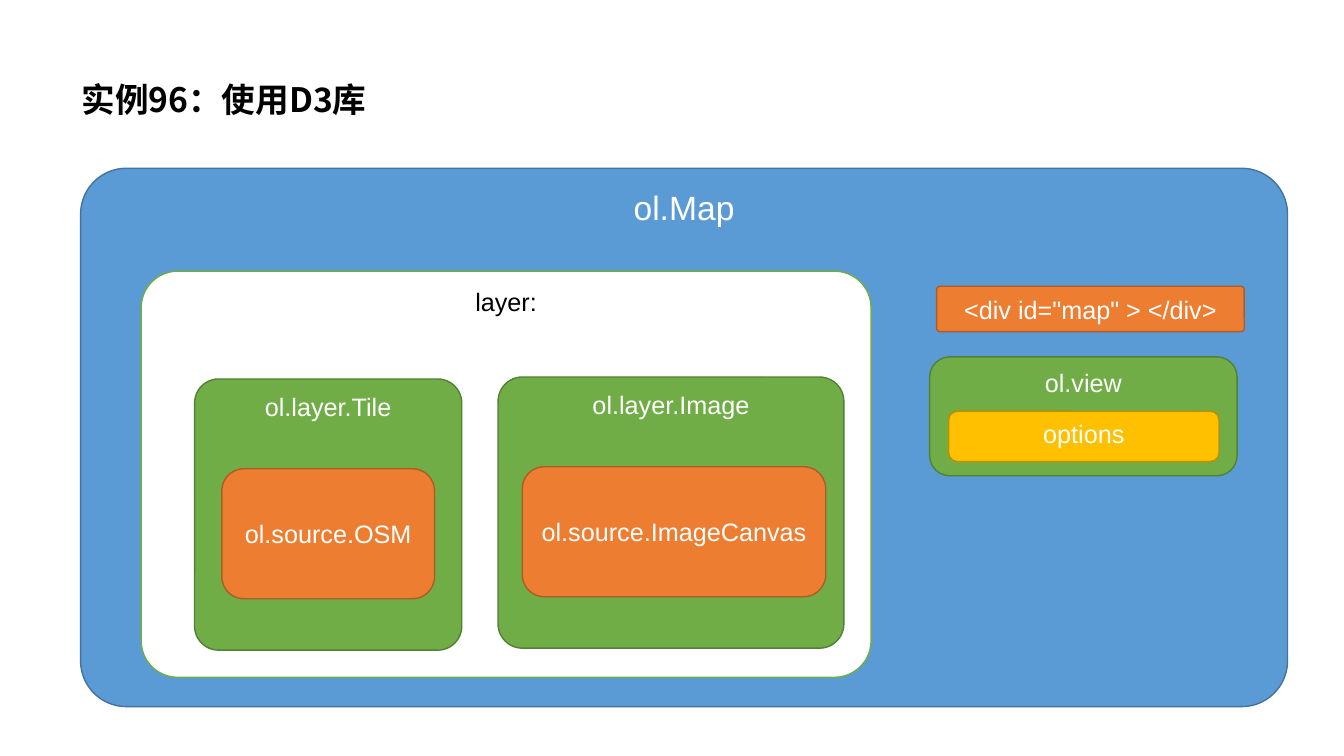
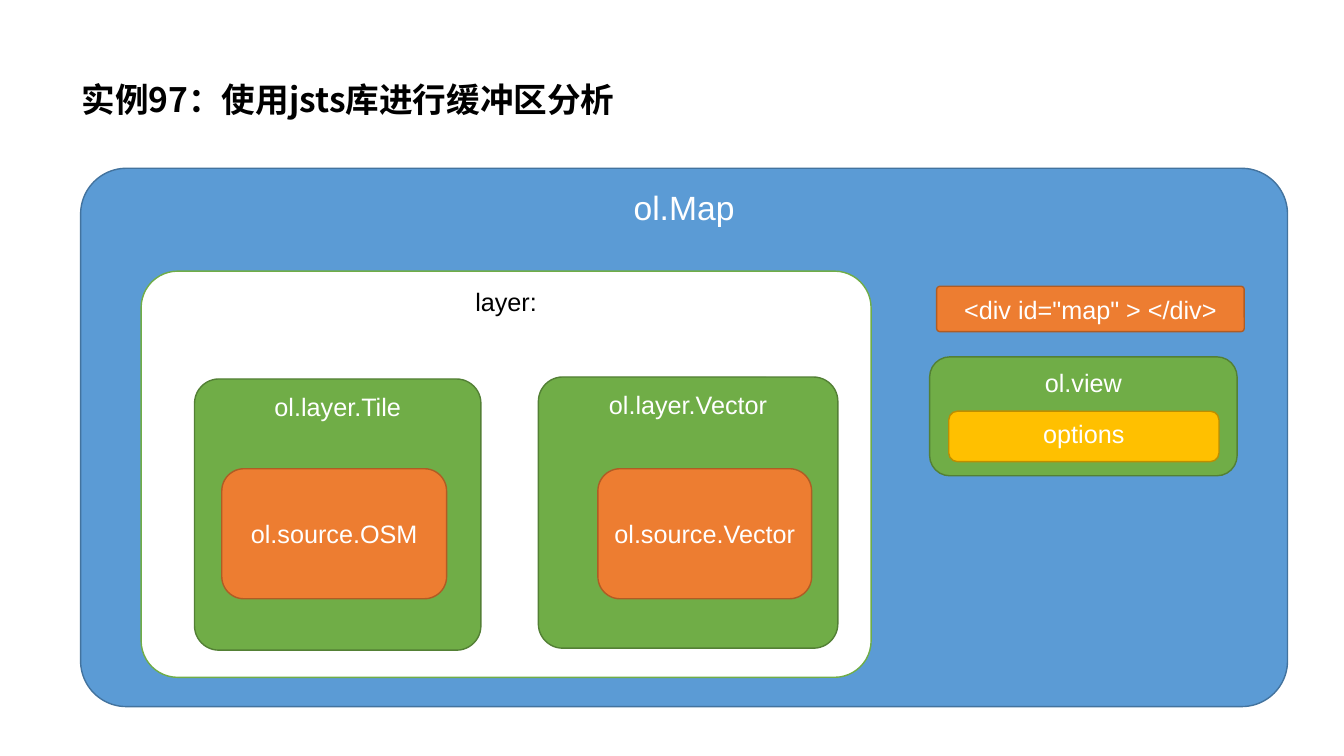
import dataclasses

import lxml.etree
import pptx
import pptx.dml.color
import pptx.enum.shapes
import pptx.enum.text
import pptx.oxml.ns
import pptx.util

EMU_PER_PX = 9144
ANCHOR = pptx.enum.text.MSO_ANCHOR
ALIGN = pptx.enum.text.PP_ALIGN


@dataclasses.dataclass(frozen=True)
class Style:
    fill: str
    line: str
    text: str = "FFFFFF"
    size: int = 18


class Theme:
    title_font = "Noto Sans CJK SC"
    body_font = "Arial"
    title_size = 24
    title_color = "000000"
    line_width = 1
    title_spacing = 0.9
    map = Style("5B9BD5", "43739E", size=24)
    panel = Style("FFFFFF", "70AD47", text="000000")
    green = Style("70AD47", "538035")
    orange = Style("ED7D31", "AF5C24")
    yellow = Style("FFC000", "BD8E00")


@dataclasses.dataclass(frozen=True)
class Box:
    left: int
    top: int
    width: int
    height: int

    def inside(self, left, top, width, height):
        return Box(self.left + left, self.top + top, width, height)

    def emu(self):
        return [length * EMU_PER_PX for length in dataclasses.astuple(self)]


@dataclasses.dataclass(frozen=True)
class Layer:
    name: str
    source: str
    place: tuple
    source_place: tuple


SLIDE = Box(0, 0, 1333, 750)
TITLE = Box(71, 28, 1150, 145)
MAP = Box(80, 167, 1197, 534)

EXAMPLES = [
    ("实例96：使用D3库", [
        Layer("ol.layer.Tile", "ol.source.OSM",
              (53, 107, 265, 269), (27, 89, 211, 129)),
        Layer("ol.layer.Image", "ol.source.ImageCanvas",
              (354, 105, 343, 269), (24, 89, 301, 129)),
    ]),
    ("实例97：使用jsts库进行缓冲区分析", [
        Layer("ol.layer.Tile", "ol.source.OSM",
              (53, 107, 284, 269), (27, 89, 223, 129)),
        Layer("ol.layer.Vector", "ol.source.Vector",
              (394, 105, 297, 269), (59, 91, 212, 129)),
    ]),
]


def rgb(value):
    return pptx.dml.color.RGBColor.from_string(value)


def set_font(para, name, size, color):
    para.font.name = name
    para.font.size = pptx.util.Pt(size)
    para.font.color.rgb = rgb(color)


def add_block(shapes, box, text, style, rounding=0.17, anchor=ANCHOR.TOP):
    block = shapes.add_shape(
        pptx.enum.shapes.MSO_SHAPE.ROUNDED_RECTANGLE, *box.emu())
    block.adjustments[0] = rounding
    block.shadow.inherit = False
    block.fill.solid()
    block.fill.fore_color.rgb = rgb(style.fill)
    block.line.color.rgb = rgb(style.line)
    block.line.width = pptx.util.Pt(Theme.line_width)
    frame = block.text_frame
    frame.word_wrap = False
    frame.vertical_anchor = anchor
    para = frame.paragraphs[0]
    para.text = text
    para.alignment = ALIGN.CENTER
    set_font(para, Theme.body_font, style.size, style.text)


def add_title(page, box, text):
    frame = page.shapes.add_textbox(*box.emu()).text_frame
    frame.word_wrap = True
    frame.vertical_anchor = ANCHOR.MIDDLE
    para = frame.paragraphs[0]
    para.text = text
    para.line_spacing = Theme.title_spacing
    set_font(para, Theme.title_font, Theme.title_size, Theme.title_color)
    para.font.bold = True
    properties = para.runs[0].font._element
    lxml.etree.SubElement(
        properties, pptx.oxml.ns.qn("a:ea"), typeface=Theme.title_font)


def add_view(page, box):
    shapes = page.shapes.add_group_shape().shapes
    add_block(shapes, box, "ol.view", Theme.green)
    add_block(shapes, box.inside(19, 54, 268, 50), "options", Theme.yellow)


def add_layers(page, box, layers):
    add_block(page.shapes, box, "layer:", Theme.panel, 0.09)
    for layer in layers:
        layer_box = box.inside(*layer.place)
        add_block(page.shapes, layer_box, layer.name, Theme.green, 0.09)
        add_block(page.shapes, layer_box.inside(*layer.source_place),
                  layer.source, Theme.orange, anchor=ANCHOR.MIDDLE)


def add_map(page, box, layers):
    add_block(page.shapes, box, "ol.Map", Theme.map, 0.085)
    add_block(page.shapes, box.inside(849, 117, 305, 45),
              '<div id="map" > </div>', Theme.orange, 0.07, ANCHOR.MIDDLE)
    add_view(page, box.inside(842, 187, 305, 118))
    add_layers(page, box.inside(60, 102, 724, 403), layers)


def main():
    deck = pptx.Presentation()
    deck.slide_width, deck.slide_height = SLIDE.emu()[2:]
    for title, layers in EXAMPLES:
        page = deck.slides.add_slide(deck.slide_layouts[6])
        add_title(page, TITLE, title)
        add_map(page, MAP, layers)
    deck.save("out.pptx")


if __name__ == "__main__":
    main()
